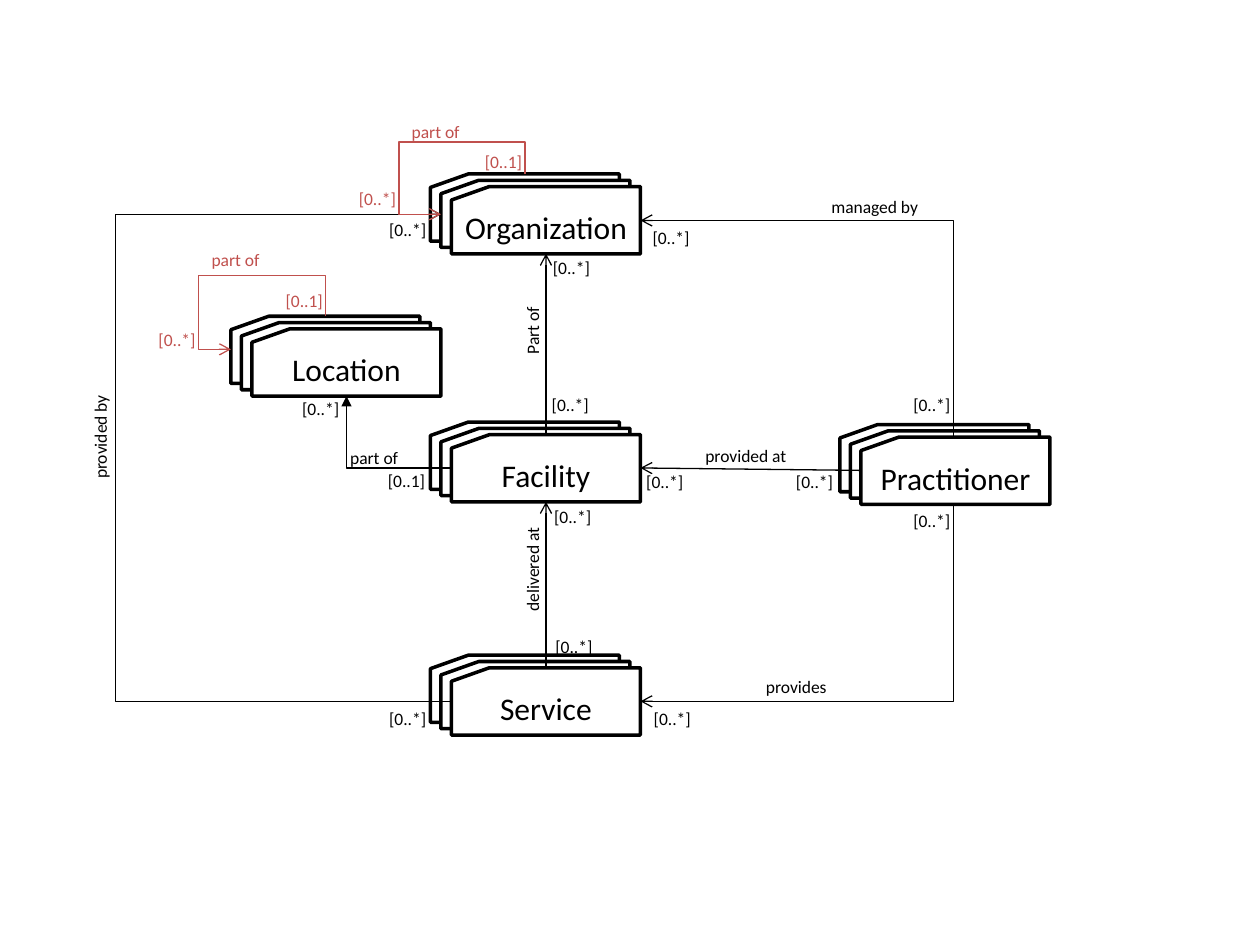
from lxml import etree
from pptx import Presentation
from pptx.dml.color import RGBColor
from pptx.enum.shapes import MSO_CONNECTOR, MSO_SHAPE
from pptx.enum.text import MSO_ANCHOR, MSO_AUTO_SIZE, PP_ALIGN
from pptx.oxml.ns import qn
from pptx.util import Pt

COLORS = {"black": "000000", "white": "FFFFFF", "red": "C0504D"}

prs = Presentation()
prs.slide_width, prs.slide_height = Pt(720), Pt(540)
s = prs.slides.add_slide(prs.slide_layouts[6])


def write(sp, text, size=10, color="black", align=PP_ALIGN.LEFT):
    p = sp.text_frame.paragraphs[0]
    p.alignment = align
    r = p.add_run()
    r.text = text
    r.font.name, r.font.size = "Calibri", Pt(size)
    r.font.color.rgb = RGBColor.from_string(COLORS[color])


def link(start, end, preset="line", rot=0, flips="", adj=(), color="black", head="arrow"):
    """Draw an arrow; a bent preset is turned by rot about the middle of its ends."""
    (x1, y1), (x2, y2) = start, end
    kind = MSO_CONNECTOR.STRAIGHT
    if preset != "line":
        kind = MSO_CONNECTOR.ELBOW
        w, h = abs(x2 - x1), abs(y2 - y1)
        if rot in (90, 270):
            w, h = h, w
        cx, cy = (x1 + x2) / 2, (y1 + y2) / 2
        x1, y1, x2, y2 = cx - w / 2, cy - h / 2, cx + w / 2, cy + h / 2
    c = s.shapes.add_connector(kind, Pt(x1), Pt(y1), Pt(x2), Pt(y2))
    c.line.width = Pt(0.75)
    c.line.color.rgb = RGBColor.from_string(COLORS[color])
    pr = c._element.spPr
    etree.SubElement(pr.find(qn("a:ln")), qn("a:tailEnd"), type=head)
    etree.SubElement(pr, qn("a:effectLst"))
    if preset != "line":
        xfrm, geom = pr.find(qn("a:xfrm")), pr.find(qn("a:prstGeom"))
        xfrm.set("rot", str(rot * 60000))
        for flip in flips:
            xfrm.set("flip" + flip, "1")
        geom.set("prst", preset)
        guides = geom.get_or_add_avLst()
        for n, value in enumerate(adj, 1):
            name = f"adj{n}"
            etree.SubElement(guides, qn("a:gd"), name=name, fmla=f"val {round(value * 100000)}")


# Stacks of three cards: name, left and top of the rear card
stacks = [
    ("Organization", 246, 99.4),
    ("Facility", 246, 241.2),
    ("Service", 246, 374.4),
    ("Practitioner", 480, 242.6),
    ("Location", 132, 180.7),
]
for name, left, top in stacks:
    for i in range(3):
        sp = s.shapes.add_shape(MSO_SHAPE.FLOWCHART_CARD, Pt(left + 6 * i),
                                Pt(top + 3.6 * i), Pt(108), Pt(38.4))
        sp.shadow.inherit = False
        sp.fill.solid()
        sp.fill.fore_color.rgb = RGBColor.from_string(COLORS["white"])
        sp.line.color.rgb = RGBColor.from_string(COLORS["black"])
        sp.line.width = Pt(2)
    sp.text_frame.vertical_anchor = MSO_ANCHOR.MIDDLE
    write(sp, name, size=18, align=PP_ALIGN.CENTER)

# Relations
link((312, 381.6), (312, 286.8))
link((312, 248.4), (312, 145))
link((491, 268.8), (366, 267.4))
link((258, 400.8), (252, 122.4), "bentConnector3", 180, adj=[31.93])
link((545, 249.8), (366, 126), "bentConnector2", 270, "V")
link((545, 288.2), (366, 400.8), "bentConnector2", 90)
link((258, 267.4), (198, 226.3), "bentConnector2", 180, head="triangle")
link((300, 99.4), (252, 122.4), "bentConnector4", 270, "HV", [-0.793, 1.5], "red")
link((186, 180.7), (132, 199.6), "bentConnector4", 270, "HV", [-1.238, 1.345], "red")

# Labels: text, left, top, length, colour, vertical
labels = [
    ("part of", 228.2, 65.5, 42.5, "red", False),
    ("part of", 113.8, 139, 42.5, "red", False),
    ("part of", 193, 252, 42.5, "black", False),
    ("managed by", 468, 108.7, 64.8, "black", False),
    ("provided at", 396, 250.6, 61.9, "black", False),
    ("provides", 430.6, 383, 49.7, "black", False),
    ("Part of", 294.5, 175, 34.6, "black", True),
    ("delivered at", 294.5, 300.2, 56.2, "black", True),
    ("provided by", 47.5, 224.6, 56.2, "black", True),
]
many = [(365.8, 126), (310.3, 360), (362.2, 265.7), (447.8, 265.7), (215.3, 401),
        (215.3, 121.7), (514.8, 221.8), (514.8, 288), (309.6, 285.8), (308.2, 221.8),
        (308.9, 143.3), (366.5, 401), (165.6, 223.9)]
labels += [("[0..*]", x, y, 36, "black", False) for x, y in many]
labels += [("[0..*]", x, y, 36, "red", False) for x, y in [(198, 103.7), (83.5, 184.3)]]
labels += [("[0..1]", x, y, 36, color, False) for x, y, color in
           [(270, 82.8, "red"), (156.2, 162, "red"), (214.6, 265, "black")]]

for text, left, top, length, color, vertical in labels:
    w, h = (26.6, length) if vertical else (length, 19.4)
    sp = s.shapes.add_textbox(Pt(left), Pt(top), Pt(w), Pt(h))
    tf = sp.text_frame
    tf.word_wrap = False
    tf.auto_size = MSO_AUTO_SIZE.SHAPE_TO_FIT_TEXT
    if vertical:
        tf._txBody.bodyPr.set("vert", "vert270")
    write(sp, text, color=color)

prs.save("out.pptx")
